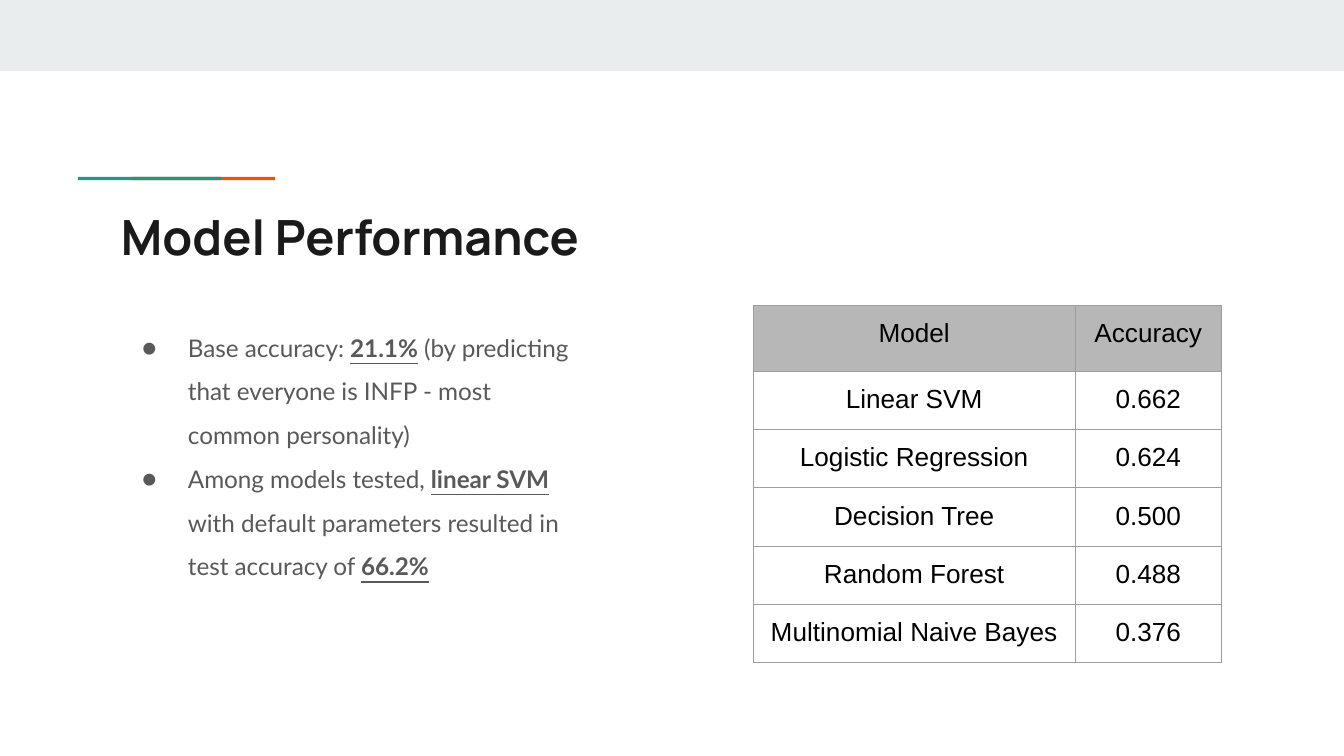
from pptx import Presentation
from pptx.dml.color import RGBColor
from pptx.enum.shapes import MSO_SHAPE
from pptx.enum.text import MSO_ANCHOR, PP_ALIGN
from pptx.oxml import parse_xml
from pptx.oxml.ns import nsdecls
from pptx.util import Pt

HUES = {
    "band": "E9EDEE", "orange": "EB5600", "green": "1A9988",
    "title": "1A1A1A", "body": "595959", "cell": "000000",
    "head": "B7B7B7", "grid": "9E9E9E",
}
INSET = 7.2


def tint(name):
    return RGBColor.from_string(HUES[name])


class Deck:
    def __init__(self, wide, high):
        self.prs = Presentation()
        self.prs.slide_width, self.prs.slide_height = Pt(wide), Pt(high)
        self.slide = self.prs.slides.add_slide(self.prs.slide_layouts[5])

    def frame(self, item):
        item.margin_left = item.margin_right = Pt(INSET)
        item.margin_top = item.margin_bottom = Pt(INSET)

    def run(self, para, text, size, font, hue, bold=False, line=False):
        run = para.add_run()
        run.text = text
        face = run.font
        face.size, face.name = Pt(size), font
        face.bold, face.underline = bold, line
        face.color.rgb = tint(hue)

    def bar(self, box, hue):
        bar = self.slide.shapes.add_shape(MSO_SHAPE.RECTANGLE, *map(Pt, box))
        bar.shadow.inherit = False
        bar.fill.solid()
        bar.fill.fore_color.rgb = tint(hue)
        bar.line.fill.background()

    def title(self, box, text):
        head = self.slide.shapes.title
        head.left, head.top, head.width, head.height = map(Pt, box)
        body = head.text_frame
        self.frame(body)
        body.word_wrap = True
        body.vertical_anchor = MSO_ANCHOR.TOP
        para = body.paragraphs[0]
        para.alignment = PP_ALIGN.LEFT
        self.run(para, text, 26, "Manrope", "title", True)

    def bullets(self, box, items):
        body = self.slide.shapes.add_textbox(*map(Pt, box)).text_frame
        self.frame(body)
        body.word_wrap = True
        for i, item in enumerate(items):
            para = body.add_paragraph() if i else body.paragraphs[0]
            para.line_spacing = 1.5
            props = para._p.get_or_add_pPr()
            props.set("marL", str(Pt(36)))
            props.set("indent", str(-Pt(24.5)))
            ns = nsdecls("a")
            props.append(parse_xml(
                f'<a:buClr {ns}><a:srgbClr val="{HUES["body"]}"/></a:buClr>'))
            props.append(parse_xml(f'<a:buFont {ns} typeface="Lato"/>'))
            props.append(parse_xml(f'<a:buChar {ns} char="●"/>'))
            for text, strong in item:
                self.run(para, text, 13, "Lato", "body", strong, strong)

    def border(self, cell):
        props = cell._tc.get_or_add_tcPr()
        for i, side in enumerate("LRTB"):
            props.insert(i, parse_xml(
                f'<a:ln{side} {nsdecls("a")} w="{Pt(0.75)}"><a:solidFill>'
                f'<a:srgbClr val="{HUES["grid"]}"/></a:solidFill></a:ln{side}>'))

    def table(self, left, top, cols, highs, rows):
        grid = self.slide.shapes.add_table(
            len(rows), len(cols), Pt(left), Pt(top),
            Pt(sum(cols)), Pt(sum(highs))).table
        grid.first_row = grid.horz_banding = False
        for col, wide in zip(grid.columns, cols):
            col.width = Pt(wide)
        for r, (row, high) in enumerate(zip(rows, highs)):
            grid.rows[r].height = Pt(high)
            for c, text in enumerate(row):
                cell = grid.cell(r, c)
                self.frame(cell)
                if r == 0:
                    cell.fill.solid()
                    cell.fill.fore_color.rgb = tint("head")
                else:
                    cell.fill.background()
                self.border(cell)
                para = cell.text_frame.paragraphs[0]
                para.alignment = PP_ALIGN.CENTER
                self.run(para, text, 14, "Arial", "cell")


def main():
    deck = Deck(720, 405)
    deck.bar((0, 0, 720, 38.2), "band")
    deck.bar((70.7, 94.8, 76.7, 1.7), "orange")
    deck.bar((41.8, 94.8, 76.7, 1.7), "green")
    deck.title((57.6, 103.7, 597, 49), "Model Performance")
    deck.bullets((57.6, 163.4, 255.6, 181.4), [
        [("Base accuracy: ", False), ("21.1%", True),
         (" (by predicting that everyone is INFP - most common personality)",
          False)],
        [("Among models tested, ", False), ("linear SVM", True),
         (" with default parameters resulted in test accuracy of ", False),
         ("66.2%", True)],
    ])
    rows = [
        ("Model", "Accuracy"),
        ("Linear SVM", "0.662"),
        ("Logistic Regression", "0.624"),
        ("Decision Tree", "0.500"),
        ("Random Forest", "0.488"),
        ("Multinomial Naive Bayes", "0.376"),
    ]
    deck.table(403.5, 163.6, (172.5, 78.3), [35.3] + [30] * 5, rows)
    deck.prs.save("out.pptx")


if __name__ == "__main__":
    main()
